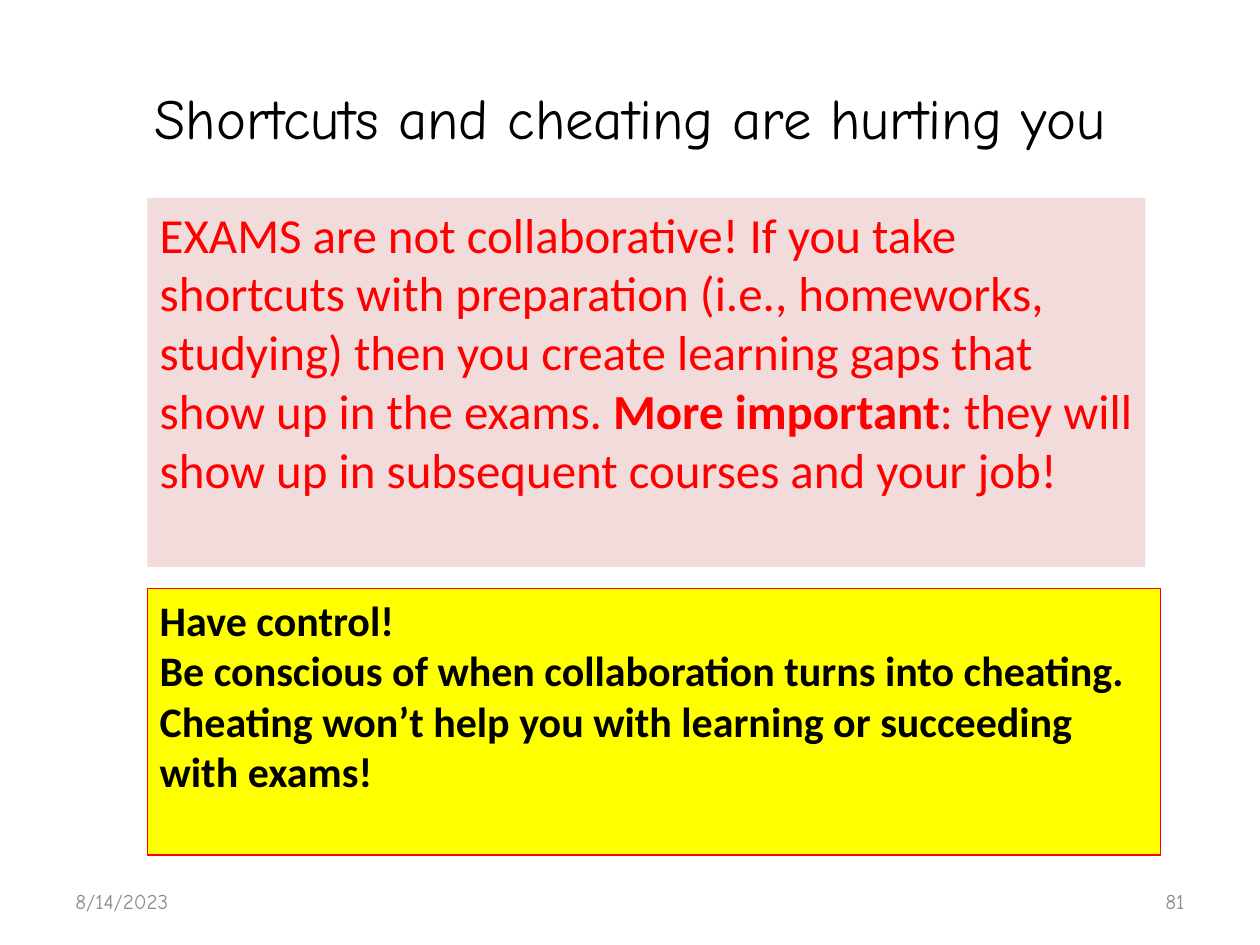
from pptx import Presentation
from pptx.dml.color import RGBColor
from pptx.enum import shapes, text
from pptx.util import Cm, Pt

THEME = {
    "heading": "Comic Neue", "body": "Calibri",
    "title_size": 32.4, "warning_size": 28, "advice_size": 24, "footer_size": 12,
    "black": "000000", "grey": "8C8C8C", "red": "FF0000",
    "pink": "F2DCDB", "yellow": "FFFF00",
}

# Each paragraph is a list of (words, bold) runs.
TITLE = [[("Shortcuts and cheating are hurting you", False)]]
WARNING = [[
    ("EXAMS are not collaborative! If you take shortcuts with preparation "
     "(i.e., homeworks, studying) then you create learning gaps that show up "
     "in the exams. ", False),
    ("More important", True),
    (": they will show up in subsequent courses and your job!", False),
]]
ADVICE = [[(line, True)] for line in (
    "Have control!",
    "Be conscious of when collaboration turns into cheating.",
    "Cheating won’t help you with learning or succeeding with exams!",
)]

# Left, top, width, height in centimetres
SLIDE_WIDTH, SLIDE_HEIGHT = 25.4, 19.05
MARGIN = 1.27
FOOTER_WIDTH = 5.93
TITLE_AREA = (MARGIN, 0.76, SLIDE_WIDTH - 2 * MARGIN, 3.18)

PANELS = [
    {"area": (2.97, 3.99, 20.12, 7.44), "paragraphs": WARNING,
     "size": "warning_size", "color": "red", "fill": "pink", "line": None},
    {"area": (2.97, 11.86, 20.42, 5.38), "paragraphs": ADVICE,
     "size": "advice_size", "color": "black", "fill": "yellow", "line": "red"},
]
FOOTERS = [
    ("8/14/2023", MARGIN, text.PP_ALIGN.LEFT),
    ("81", SLIDE_WIDTH - MARGIN - FOOTER_WIDTH, text.PP_ALIGN.RIGHT),
]


def color(name):
    return RGBColor.from_string(THEME[name])


def lengths(area):
    return [Cm(value) for value in area]


def write(shape, paragraphs, font, size, ink, align, anchor):
    frame = shape.text_frame
    settings = {"word_wrap": True, "auto_size": text.MSO_AUTO_SIZE.NONE,
                "vertical_anchor": anchor}
    for name, value in settings.items():
        setattr(frame, name, value)
    for index, runs in enumerate(paragraphs):
        paragraph = frame.add_paragraph() if index else frame.paragraphs[0]
        paragraph.alignment = align
        for words, bold in runs:
            run = paragraph.add_run()
            run.text = words
            formats = {"name": THEME[font], "size": Pt(THEME[size]), "bold": bold}
            for name, value in formats.items():
                setattr(run.font, name, value)
            run.font.color.rgb = color(ink)


def add_panel(slide, panel):
    box = slide.shapes.add_shape(shapes.MSO_SHAPE.RECTANGLE, *lengths(panel["area"]))
    box.shadow.inherit = False
    box.fill.solid()
    box.fill.fore_color.rgb = color(panel["fill"])
    if panel["line"]:
        box.line.color.rgb = color(panel["line"])
        box.line.width = Pt(0.75)
    else:
        box.line.fill.background()
    write(box, panel["paragraphs"], "body", panel["size"], panel["color"],
          text.PP_ALIGN.LEFT, text.MSO_ANCHOR.TOP)


def main():
    deck = Presentation()
    deck.slide_width, deck.slide_height = Cm(SLIDE_WIDTH), Cm(SLIDE_HEIGHT)
    slide = deck.slides.add_slide(deck.slide_layouts.get_by_name("Title Only"))

    title = slide.shapes.title
    title.left, title.top, title.width, title.height = lengths(TITLE_AREA)
    write(title, TITLE, "heading", "title_size", "black",
          text.PP_ALIGN.CENTER, text.MSO_ANCHOR.MIDDLE)

    for words, left, align in FOOTERS:
        footer = slide.shapes.add_textbox(*lengths((left, 17.65, FOOTER_WIDTH, 1.02)))
        write(footer, [[(words, False)]], "heading", "footer_size", "grey",
              align, text.MSO_ANCHOR.MIDDLE)

    for panel in PANELS:
        add_panel(slide, panel)

    deck.save("out.pptx")


if __name__ == "__main__":
    main()
